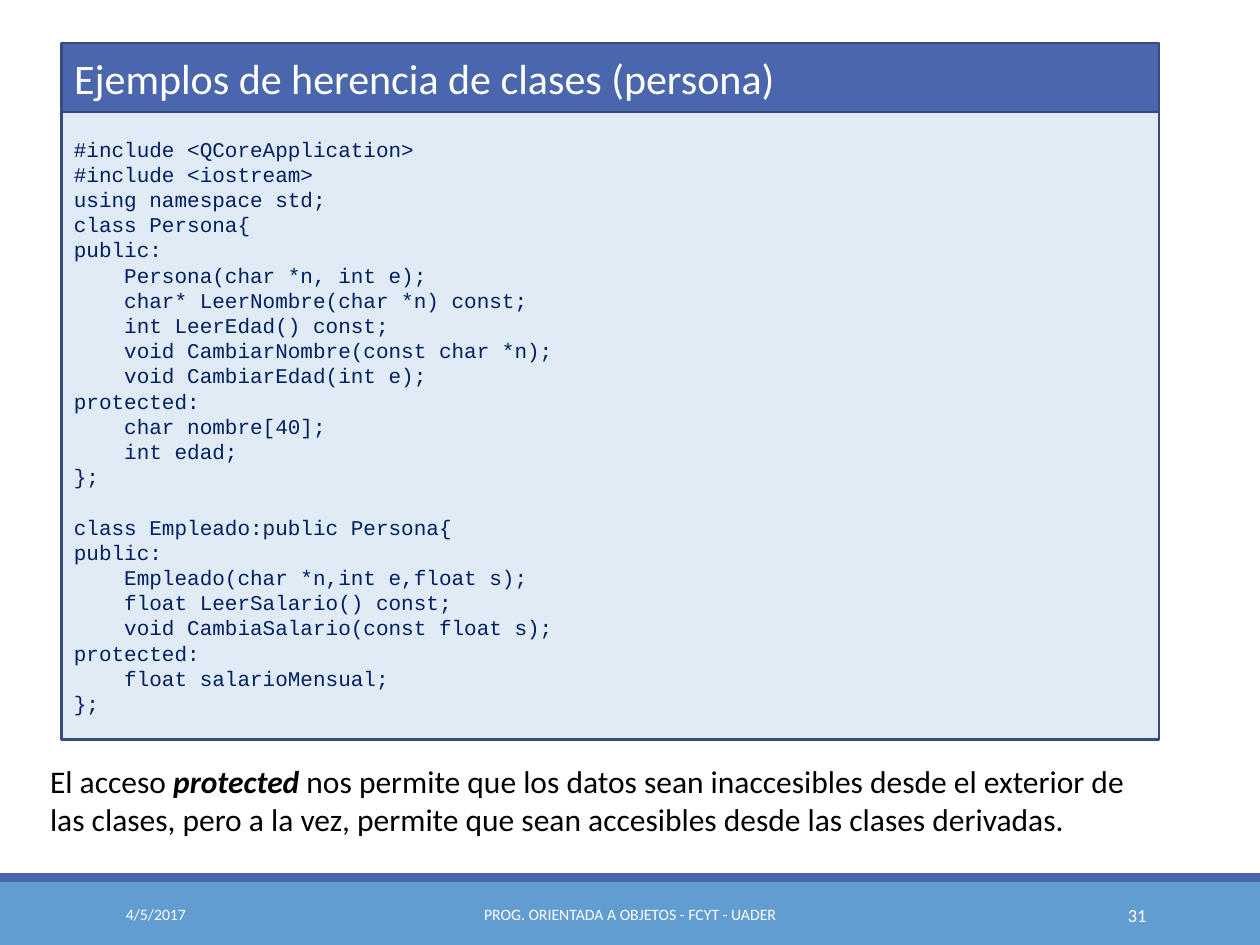
from pptx import Presentation
from pptx.dml.color import RGBColor
from pptx.enum.shapes import MSO_SHAPE
from pptx.enum.text import MSO_ANCHOR, MSO_AUTO_SIZE, PP_ALIGN
from pptx.util import Cm, Pt

NAVY, BLUE, SKY, PALE = "374B7F", "4A66AC", "629DD1", "E0EBF6"
WHITE, BLACK, CODE_INK = "FFFFFF", "000000", "002060"
CODE_LEADING = 14.4

# One block per class; a blank line's worth of space separates them
CODE_BLOCKS = [
    """#include <QCoreApplication>
#include <iostream>
using namespace std;
class Persona{
public:
    Persona(char *n, int e);
    char* LeerNombre(char *n) const;
    int LeerEdad() const;
    void CambiarNombre(const char *n);
    void CambiarEdad(int e);
protected:
    char nombre[40];
    int edad;
};""",
    """class Empleado:public Persona{
public:
    Empleado(char *n,int e,float s);
    float LeerSalario() const;
    void CambiaSalario(const float s);
protected:
    float salarioMensual;
};""",
]


def color(hex_string):
    return RGBColor.from_string(hex_string)


class SlideBuilder:
    """Holds the text style and the slide being built."""

    font_name = "Calibri"
    code_font_name = "Courier New"

    def __init__(self, slide):
        self.slide = slide

    def paint(self, shape, fill, line=None):
        shape.fill.solid()
        shape.fill.fore_color.rgb = color(fill)
        if line:
            shape.line.color.rgb = color(line)
            shape.line.width = Pt(1.25)
        else:
            shape.line.fill.background()

    def frame(self, shape, anchor=MSO_ANCHOR.MIDDLE):
        text_frame = shape.text_frame
        text_frame.word_wrap = True
        text_frame.auto_size = MSO_AUTO_SIZE.NONE
        text_frame.vertical_anchor = anchor
        return text_frame

    def run(self, paragraph, text, size, ink, font_name=None, emphasis=False):
        run = paragraph.add_run()
        run.text = text
        run.font.name = font_name or self.font_name
        run.font.size = Pt(size)
        run.font.color.rgb = color(ink)
        run.font.bold = run.font.italic = emphasis

    def box(self, left, top, width, height, fill, line=None):
        shape = self.slide.shapes.add_shape(
            MSO_SHAPE.RECTANGLE, Cm(left), Cm(top), Cm(width), Cm(height))
        shape.shadow.inherit = False
        self.paint(shape, fill, line)
        return shape

    def title(self, text, left, top, width, height):
        title = self.slide.shapes.title
        title.left, title.top = Cm(left), Cm(top)
        title.width, title.height = Cm(width), Cm(height)
        self.paint(title, BLUE, NAVY)
        paragraph = self.frame(title).paragraphs[0]
        paragraph.alignment = PP_ALIGN.LEFT
        self.run(paragraph, text, 24, WHITE)

    def code(self, blocks, left, top, width, height):
        text_frame = self.frame(self.box(left, top, width, height, PALE, NAVY))
        paragraph = text_frame.paragraphs[0]
        for block_index, block in enumerate(blocks):
            for line_index, line in enumerate(block.split("\n")):
                if block_index or line_index:
                    paragraph = text_frame.add_paragraph()
                if block_index and not line_index:
                    paragraph.space_before = Pt(CODE_LEADING)
                paragraph.alignment = PP_ALIGN.LEFT
                paragraph.line_spacing = Pt(CODE_LEADING)
                self.run(paragraph, line, 12, CODE_INK, self.code_font_name)

    def text(self, parts, left, top, width, height, size, ink,
             alignment=PP_ALIGN.LEFT, anchor=MSO_ANCHOR.MIDDLE):
        text_box = self.slide.shapes.add_textbox(
            Cm(left), Cm(top), Cm(width), Cm(height))
        paragraph = self.frame(text_box, anchor).paragraphs[0]
        paragraph.alignment = alignment
        for text, emphasis in parts:
            self.run(paragraph, text, size, ink, emphasis=emphasis)


def main():
    presentation = Presentation()
    presentation.slide_width, presentation.slide_height = Cm(25.4), Cm(19.05)
    title_only = presentation.slide_layouts[5]
    builder = SlideBuilder(presentation.slides.add_slide(title_only))

    # Footer band
    builder.box(0, 17.78, 25.4, 1.27, SKY)
    builder.box(0, 17.6, 25.4, 0.18, BLUE)
    footer_items = [
        ("4/5/2017", 2.29, 5.16, 9, PP_ALIGN.LEFT),
        ("PROG. ORIENTADA A OBJETOS - FCYT - UADER", 7.67, 10.06, 9,
         PP_ALIGN.CENTER),
        ("31", 20.62, 2.74, 10.5, PP_ALIGN.RIGHT),
    ]
    for text, left, width, size, alignment in footer_items:
        builder.text([(text, False)], left, 17.93, width, 1.02, size, WHITE,
                     alignment)

    # Title bar and code panel share their left edge and width
    left, width = 1.24, 22.12
    builder.title("Ejemplos de herencia de clases (persona)",
                  left, 0.86, width, 1.4)
    builder.code(CODE_BLOCKS, left, 2.26, width, 12.65)

    # Closing remark
    remark = [
        ("El acceso ", False),
        ("protected", True),
        (" nos permite que los datos sean inaccesibles desde el exterior de "
         "las clases, pero a la vez, permite que sean accesibles desde las "
         "clases derivadas.", False),
    ]
    builder.text(remark, 0.76, 15.24, 22.58, 1.8, 18, BLACK,
                 anchor=MSO_ANCHOR.TOP)

    presentation.save("out.pptx")


if __name__ == "__main__":
    main()
